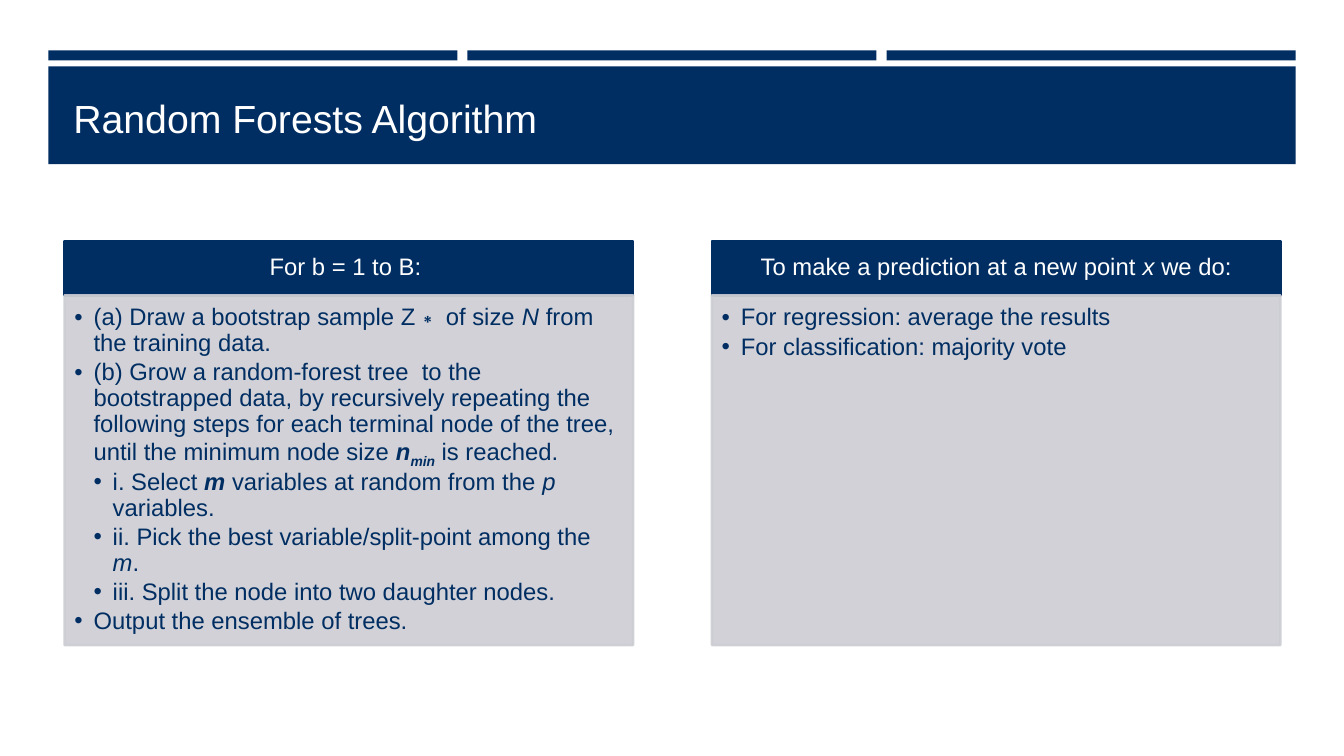
from dataclasses import dataclass

from lxml import etree
from pptx import Presentation
from pptx.dml.color import RGBColor
from pptx.enum.shapes import MSO_SHAPE
from pptx.enum.text import MSO_ANCHOR, PP_ALIGN
from pptx.oxml.ns import qn
from pptx.util import Inches, Pt

RECT = MSO_SHAPE.RECTANGLE
TOP, MIDDLE, BOTTOM = MSO_ANCHOR.TOP, MSO_ANCHOR.MIDDLE, MSO_ANCHOR.BOTTOM
LEFT, CENTER = PP_ALIGN.LEFT, PP_ALIGN.CENTER


@dataclass(frozen=True)
class Theme:
    """Colours, font and type sizes of the slide."""
    navy: RGBColor = RGBColor(0x00, 0x2E, 0x62)
    gray: RGBColor = RGBColor(0xCC, 0xCD, 0xD3)
    white: RGBColor = RGBColor(0xFF, 0xFF, 0xFF)
    font: str = "Arial"
    title: float = 28
    text: float = 17
    line: float = 1.75


THEME = Theme()

STEPS = [
    (1, [("(a) Draw a bootstrap sample Z∗ of size ", ""), ("N", "i"),
         (" from the training data.", "")]),
    (1, [("(b) Grow a random-forest tree  to the bootstrapped data, by "
          "recursively repeating the following steps for each terminal node "
          "of the tree, until the minimum node size ", ""),
         ("n", "bi"), ("min", "bis"), (" is reached.", "")]),
    (2, [("i. Select ", ""), ("m", "bi"),
         (" variables at random from the ", ""), ("p", "i"),
         (" variables.", "")]),
    (2, [("ii. Pick the best variable/split-point among the ", ""),
         ("m", "i"), (".", "")]),
    (2, [("iii. Split the node into two daughter nodes.", "")]),
    (1, [("Output the ensemble of trees.", "")]),
]
RULES = [
    (1, [("For regression: average the results", "")]),
    (1, [("For classification: majority vote", "")]),
]
CARDS = [
    ([("For b = 1 to B: ", "")], STEPS),
    ([("To make a prediction at a new point ", ""), ("x", "i"),
      (" we do:", "")], RULES),
]


def add_rect(slide, box, color, edge=False, alpha=None):
    """Draw a plain rectangle, with an edge and opacity if asked."""
    rect = slide.shapes.add_shape(RECT, *map(Inches, box))
    rect.shadow.inherit = False
    rect.fill.solid()
    rect.fill.fore_color.rgb = color
    if edge:
        rect.line.color.rgb = color
        rect.line.width = Pt(THEME.line)
    else:
        rect.line.fill.background()
    if alpha:
        for tone in rect._element.spPr.iter(qn("a:srgbClr")):
            etree.SubElement(tone, qn("a:alpha"), val=str(alpha * 1000))
    return rect


def set_frame(shape, anchor, pads):
    """Set wrap, anchor and insets, and return the text frame."""
    frame = shape.text_frame
    frame.word_wrap = True
    frame.vertical_anchor = anchor
    (frame.margin_left, frame.margin_top,
     frame.margin_right, frame.margin_bottom) = map(Inches, pads)
    return frame


def add_runs(para, runs, size, color):
    """Add runs; b is bold, i is italic, s is subscript."""
    for text, style in runs:
        run = para.add_run()
        run.text = text
        font = run.font
        font.name, font.size = THEME.font, Pt(size)
        font.color.rgb = color
        font.bold, font.italic = "b" in style, "i" in style
        if "s" in style:
            run._r.get_or_add_rPr().set("baseline", "-25000")


def add_bullet(para, level):
    """Give a paragraph a bullet and a hanging indent."""
    step = Inches(0.19)
    props = para._p.get_or_add_pPr()
    props.set("marL", str(step * level))
    props.set("indent", str(-step))
    etree.SubElement(props, qn("a:buFont"), typeface=THEME.font)
    etree.SubElement(props, qn("a:buChar"), char="•")


def add_header(slide, box, title):
    """Draw three strips over a title band."""
    left, top, width, height = box
    gap, band = 0.1, 0.97
    strip = (width - 2 * gap) / 3
    for col in range(3):
        add_rect(slide, (left + col * (strip + gap), top, strip, 0.1),
                 THEME.navy)
    base = top + height - band
    add_rect(slide, (left, base, width, band), THEME.navy)
    label = slide.shapes.add_textbox(
        *map(Inches, (left + 0.15, base + 0.14, width - 0.3, 0.65)))
    frame = set_frame(label, BOTTOM, (0.1, 0.05, 0.1, 0.05))
    add_runs(frame.paragraphs[0], [(title, "")], THEME.title, THEME.white)


def add_card(slide, box, head, items):
    """Draw a heading bar over a panel of bullets."""
    left, top, width, height = box
    bar = 0.54
    title = add_rect(slide, (left, top, width, bar), THEME.navy, edge=True)
    para = set_frame(title, MIDDLE, (0.13, 0.08, 0.13, 0.08)).paragraphs[0]
    para.alignment, para.line_spacing = CENTER, 0.9
    add_runs(para, head, THEME.text, THEME.white)

    panel = add_rect(slide, (left, top + bar, width, height - bar),
                     THEME.gray, edge=True, alpha=90)
    frame = set_frame(panel, TOP, (0.1, 0.1, 0.13, 0.15))
    for index, (level, runs) in enumerate(items):
        para = frame.add_paragraph() if index else frame.paragraphs[0]
        para.alignment, para.line_spacing = LEFT, 0.9
        para.level = level
        para.space_before, para.space_after = Pt(0), Pt(2.5)
        add_bullet(para, level)
        add_runs(para, runs, THEME.text, THEME.navy)


def main():
    """Build the slide and save it."""
    deck = Presentation()
    deck.slide_width, deck.slide_height = Inches(13.33), Inches(7.5)
    slide = deck.slides.add_slide(deck.slide_layouts[6])
    add_header(slide, (0.48, 0.5, 12.37, 1.13), "Random Forests Algorithm")
    for col, (head, items) in enumerate(CARDS):
        add_card(slide, (0.64 + col * 6.42, 2.39, 5.64, 4.01), head, items)
    deck.save("out.pptx")


if __name__ == "__main__":
    main()
